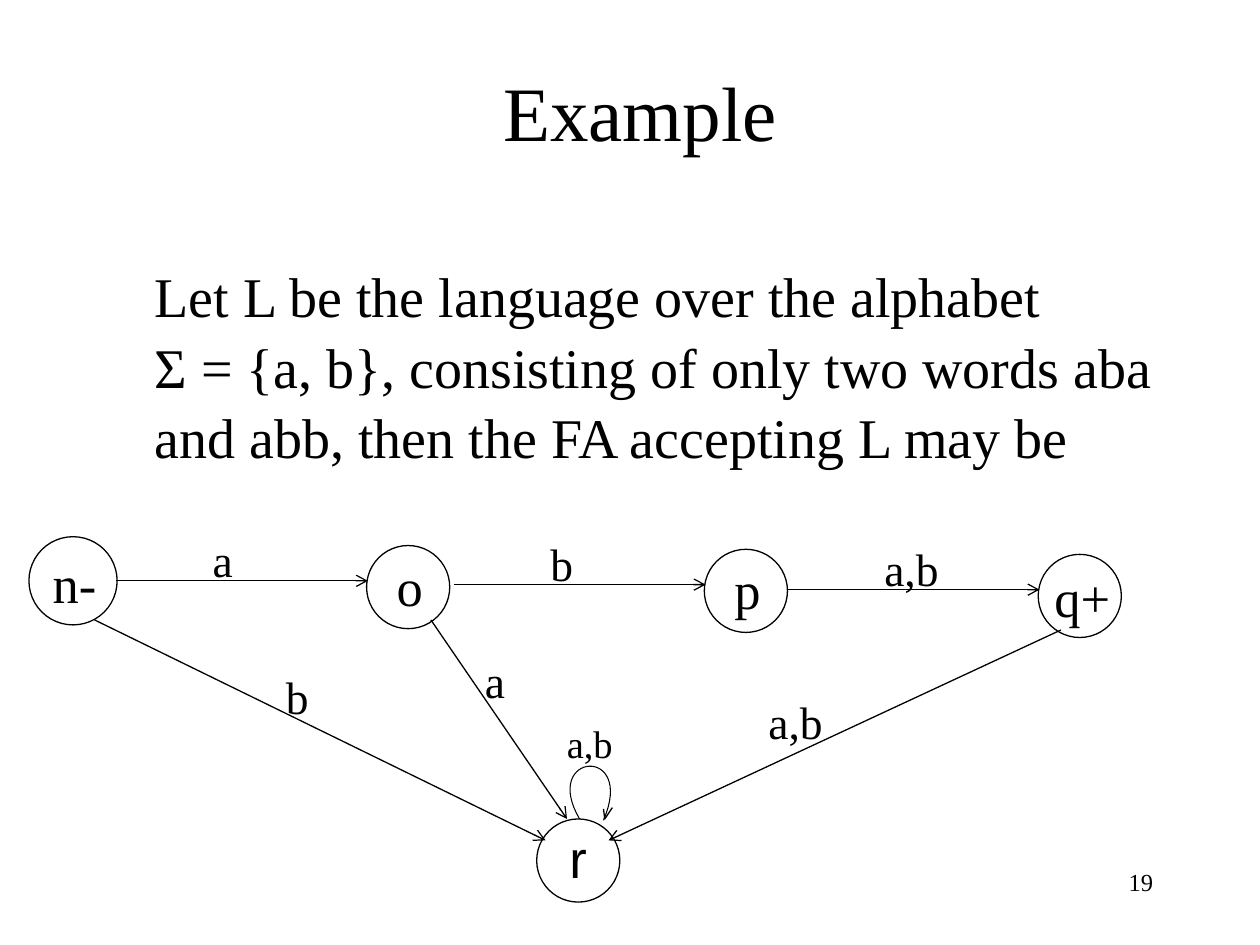
from pptx import Presentation, util as u
from pptx.dml.color import RGBColor
from pptx.enum import shapes, text
from pptx.oxml.ns import qn
from lxml import etree

THEME = {
    "font": "Times New Roman", "sans": "Arial",
    "ink": RGBColor(0, 0, 0), "paper": RGBColor(255, 255, 255),
    "title": 44, "body": 32, "state": 30, "label": 26, "loop": 22, "number": 14,
    "line": 0.75, "loop_line": 0.6, "spacing": 1.05,
}

# Content
TITLE = "Example"
BODY = ("Let L be the language over the alphabet\v"
        "Σ = {a, b}, consisting of only two words aba and abb, "
        "then the FA accepting L may be")
PAGE_NUMBER = "19"
STATES = [  # name, circle left, top, diameter, text left, top, font
    ("n-", 0.23, 4.26, 0.70, 0.32, 4.30, "font"),
    ("o", 2.91, 4.33, 0.66, 3.05, 4.32, "font"),
    ("p", 5.59, 4.36, 0.66, 5.73, 4.35, "font"),
    ("q+", 8.24, 4.40, 0.66, 8.27, 4.41, "font"),
    ("r", 4.26, 6.50, 0.66, 4.42, 6.48, "sans"),
]
FORWARD = [("a", 0.92, 4.61), ("b", 3.60, 4.64), ("a,b", 6.25, 4.68)]
FORWARD_LENGTH = 2
TO_SINK = [  # label, from, to, label left and top
    ("b", (0.75, 4.92), (4.33, 6.67), (2.17, 5.24)),
    ("a", (3.42, 4.92), (4.50, 6.50), (3.75, 5.11)),
    ("a,b", (8.42, 5.00), (4.83, 6.67), (6.00, 5.44)),
]
LOOP_LABEL = "a,b"
LOOP_CURVE = [(4.60, 6.50), (4.29, 5.97), (5.05, 5.91), (4.79, 6.51)]
LOOP_HEAD = [(4.79, 6.42), (4.80, 6.50), (4.86, 6.41)]

deck = Presentation()
deck.slide_width, deck.slide_height = u.Inches(10), u.Inches(7.5)
page = deck.slides.add_slide(deck.slide_layouts[6])


def add_text(words, left, top, width, height, size, font="font",
             align=text.PP_ALIGN.LEFT, anchor=text.MSO_ANCHOR.TOP,
             spacing=THEME["spacing"]):
    box = page.shapes.add_textbox(*map(u.Inches, (left, top, width, height)))
    frame = box.text_frame
    frame.word_wrap = True
    frame.vertical_anchor = anchor
    para = frame.paragraphs[0]
    para.text = words
    para.alignment = align
    para.line_spacing = spacing
    para.font.name = THEME[font]
    para.font.size = u.Pt(THEME[size])
    para.font.color.rgb = THEME["ink"]
    return box


def set_line(shape, width="line"):
    shape.line.color.rgb = THEME["ink"]
    shape.line.width = u.Pt(THEME[width])


def add_arrow(start, end):
    arrow = page.shapes.add_connector(
        shapes.MSO_CONNECTOR.STRAIGHT, *map(u.Inches, (*start, *end)))
    set_line(arrow)
    etree.SubElement(arrow.line._get_or_add_ln(), qn("a:tailEnd"), type="arrow")
    etree.SubElement(arrow._element.spPr, qn("a:effectLst"))


def add_outline(points, width):
    points = [(u.Inches(x), u.Inches(y)) for x, y in points]
    builder = page.shapes.build_freeform(*points[0])
    builder.add_line_segments(points[1:], close=False)
    outline = builder.convert_to_shape()
    outline.shadow.inherit = False
    outline.fill.background()
    set_line(outline, width)


def bezier(controls, steps=32):
    """Points along a cubic curve."""
    curve = []
    for step in range(steps + 1):
        t = step / steps
        weights = ((1 - t) ** 3, 3 * t * (1 - t) ** 2, 3 * t * t * (1 - t), t ** 3)
        curve.append(tuple(sum(w * c for w, c in zip(weights, axis))
                           for axis in zip(*controls)))
    return curve


# Title and problem statement
add_text(TITLE, 0.83, 0.25, 8.5, 1.25, "title", align=text.PP_ALIGN.CENTER,
         anchor=text.MSO_ANCHOR.MIDDLE, spacing=1.0)
statement = add_text(BODY, 0.75, 2, 8.5, 4.67, "body")
statement.text_frame.paragraphs[0]._p.get_or_add_pPr().set(
    "marL", str(u.Inches(0.38)))

# States
for name, left, top, size, text_left, text_top, font in STATES:
    circle = page.shapes.add_shape(
        shapes.MSO_SHAPE.OVAL, *map(u.Inches, (left, top, size, size)))
    circle.shadow.inherit = False
    circle.fill.solid()
    circle.fill.fore_color.rgb = THEME["paper"]
    set_line(circle)
    add_text(name, text_left, text_top, 1.17, 0.6, "state", font)

# Transitions along the row: each label sits above its arrow
for label, x, y in FORWARD:
    add_arrow((x, y), (x + FORWARD_LENGTH, y))
    add_text(label, x + 0.67, y - 0.46, 1.17, 0.54, "label")

# Transitions into the sink state
for label, start, end, place in TO_SINK:
    add_arrow(start, end)
    add_text(label, *place, 1.17, 0.54, "label")

# Loop on the sink state
add_text(LOOP_LABEL, 4.4, 5.65, 0.98, 0.67, "loop")
add_outline(bezier(LOOP_CURVE), "loop_line")
add_outline(LOOP_HEAD, "line")

# Page number
add_text(PAGE_NUMBER, 7.17, 6.83, 2.08, 0.5, "number",
         align=text.PP_ALIGN.RIGHT, spacing=1.0)

deck.save("out.pptx")
